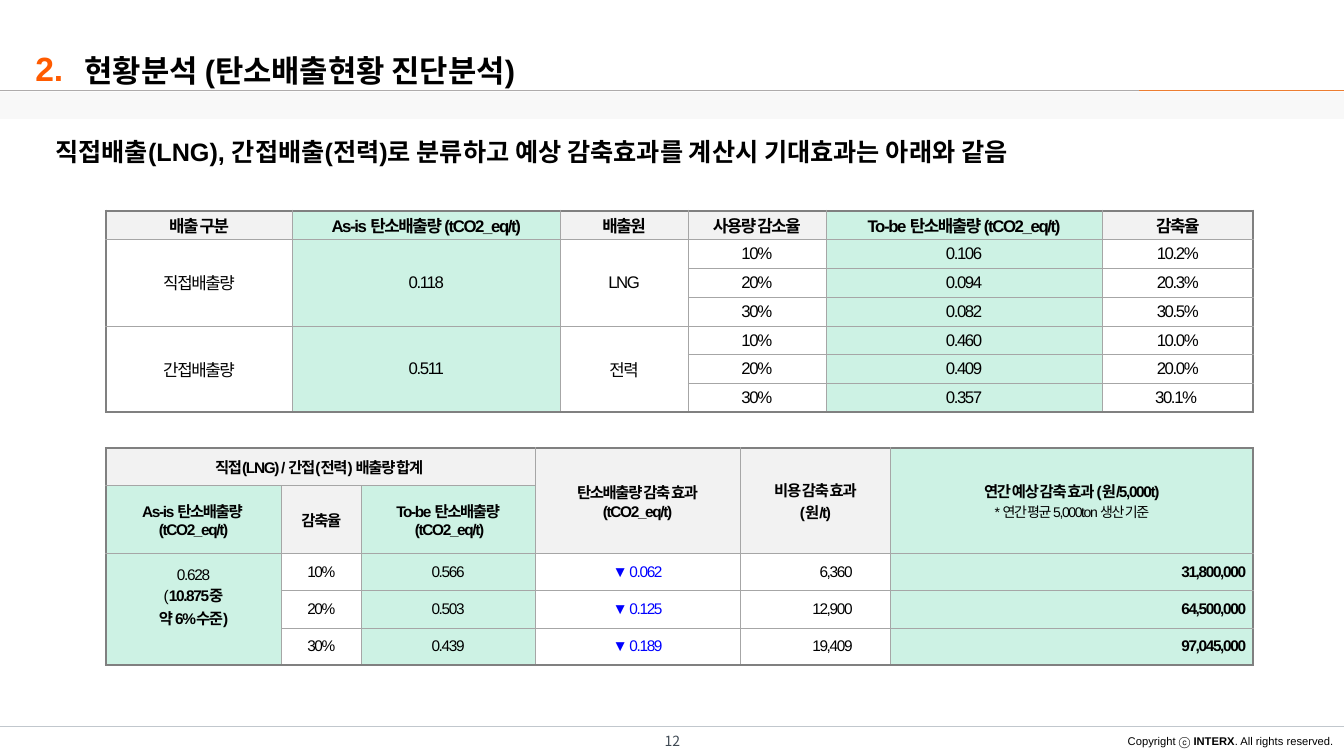
import pptx
import pptx.util
import pptx.oxml
import pptx.oxml.ns
import pptx.dml.color
import pptx.enum.text
import pptx.enum.shapes

Pt = pptx.util.Pt
qn = pptx.oxml.ns.qn
ALIGN = {"l": pptx.enum.text.PP_ALIGN.LEFT, "c": pptx.enum.text.PP_ALIGN.CENTER,
         "r": pptx.enum.text.PP_ALIGN.RIGHT, "j": pptx.enum.text.PP_ALIGN.JUSTIFY}
MIDDLE = pptx.enum.text.MSO_ANCHOR.MIDDLE
TOP = pptx.enum.text.MSO_ANCHOR.TOP
LATIN, KOREAN = "Arial", "Noto Sans CJK KR"
COLORS = {"black": "000000", "orange": "FF5B00", "accent": "ED7D31", "rule": "AEABAB",
          "footer": "C1C7CD", "page": "404A54", "grey": "F2F2F2", "green": "CDF2E4",
          "blue": "0000FF", "inner": "A6A6A6", "outer": "808080"}

LINES = [
    (0, 519.1, 960, "footer"),
    (0, 64.8, 813.6, "rule"),
    (813.6, 64.8, 960, "accent"),
]
TEXTS = [
    {"box": (417.6, 522, 125.3, 14.4), "inset": (7.2, 3.6), "anchor": MIDDLE, "align": "c",
     "runs": [("12", {"size": 10, "color": "page", "name": KOREAN})]},
    {"box": (796.3, 521.3, 163.4, 17.3), "inset": (7.2, 3.6), "align": "r",
     "runs": [("Copyright ⓒ ", {"size": 8}), ("INTERX", {"size": 8, "bold": True}),
              (". All rights reserved.", {"size": 8})]},
    {"box": (13, 17.3, 38.9, 41), "align": "r", "spacing": 1.6,
     "runs": [("2. ", {"size": 24, "bold": True, "color": "orange"})]},
    {"box": (60.5, 20.9, 745.2, 42.5), "spacing": 1.6,
     "runs": [("현황분석 (탄소배출현황 진단분석)", {"size": 22, "bold": True})]},
    {"box": (32.4, 80.6, 936.7, 42.5), "inset": (7.2, 3.6), "align": "j", "spacing": 1.6,
     "hanging": 22.5,
     "runs": [("직접배출(LNG), 간접배출(전력)로 분류하고 예상 감축효과를 계산시 기대효과는 아래와 같음",
               {"size": 18, "bold": True})]},
]
TABLES = [
    {"at": (75.6, 150.5), "cols": (133.2, 191.5, 91.2, 98.4, 197.6, 107.8),
     "rows": (20.57,) * 7, "size": 12, "header_rows": 1, "green_cols": (1, 4),
     "merges": [(r, c, r + 2, c) for r in (1, 4) for c in (0, 1, 2)],
     "cells": [
         ["배출 구분", "As-is 탄소배출량 (tCO2_eq/t)", "배출원", "사용량 감소율",
          "To-be 탄소배출량 (tCO2_eq/t)", "감축율"],
         ["직접배출량", "0.118", "LNG", "10%", "0.106", "10.2%"],
         [None, None, None, "20%", "0.094", "20.3%"],
         [None, None, None, "30%", "0.082", "30.5%"],
         ["간접배출량", "0.511", "전력", "10%", "0.460", "10.0%"],
         [None, None, None, "20%", "0.409", "20.0%"],
         [None, None, None, "30%", "0.357", "30.1% "]]},
    {"at": (75.6, 320.2), "cols": (125.3, 57.4, 123.7, 147, 107.2, 259.1),
     "rows": (26.6, 48.4, 26.6, 26.6, 26.6), "size": 11, "header_rows": 2,
     "green_cols": (0, 2, 5), "grey_cells": [(0, 0)],
     "merges": [(0, 0, 0, 2), (0, 3, 1, 3), (0, 4, 1, 4), (0, 5, 1, 5), (2, 0, 4, 0)],
     "aligns": {4: "r", 5: "r"}, "bold_cols": (5,), "col_colors": {3: "blue"},
     "right_indents": {4: 22}, "bottom_insets": {(2, 0): 18},
     "cells": [
         ["직접(LNG) / 간접(전력) 배출량 합계 ", None, None, "탄소배출량 감축 효과\v(tCO2_eq/t)",
          "비용 감축 효과\n(원/t)",
          [[("연간 예상 감축 효과 (원/5,000t)", {})],
           [("* 연간 평균 5,000ton 생산 기준", {"size": 10, "bold": False})]]],
         ["As-is 탄소배출량 \n(tCO2_eq/t)", "감축율", "To-be 탄소배출량\n (tCO2_eq/t)",
          None, None, None],
         [[[("0.628", {})], [("(", {}), ("10.875중", {"bold": True})],
           [("약 6%수준)", {"bold": True})]],
          "10%", "0.566", "▼ 0.062", "6,360", "31,800,000"],
         [None, "20%", "0.503", "▼ 0.125", "12,900", "64,500,000"],
         [None, "30%", "0.439", "▼ 0.189", "19,409", "97,045,000"]]},
]


def rgb(name):
    return pptx.dml.color.RGBColor.from_string(COLORS[name])


def add_runs(p, runs, base):
    for text, change in runs:
        fmt = {"name": LATIN, "color": "black", "bold": False, **base, **change}
        for i, part in enumerate(text.split("\v")):
            if i:
                p.add_line_break()
            r = p.add_run()
            r.text = part
            r.font.color.rgb = rgb(fmt["color"])
            for key in ("name", "bold"):
                setattr(r.font, key, fmt[key])
            r.font.size = Pt(fmt["size"])
            rpr = r.font._element
            pptx.oxml.ns.qn("a:ea")
            ea = rpr.makeelement(qn("a:ea"), {"typeface": KOREAN})
            rpr.append(ea)
            if "track" in fmt:
                rpr.set("spc", str(fmt["track"] * 100))


def add_text(s, item):
    tf = s.shapes.add_textbox(*map(Pt, item["box"])).text_frame
    dx, dy = item.get("inset", (0, 0))
    for key, value in {"word_wrap": True, "vertical_anchor": item.get("anchor", TOP),
                       "margin_left": Pt(dx), "margin_right": Pt(dx),
                       "margin_top": Pt(dy), "margin_bottom": Pt(dy)}.items():
        setattr(tf, key, value)
    p = tf.paragraphs[0]
    p.alignment = ALIGN[item.get("align", "l")]
    p.line_spacing = item.get("spacing", 1.0)
    if "hanging" in item:
        ppr = p._p.get_or_add_pPr()
        ppr.set("marL", str(Pt(item["hanging"])))
        ppr.set("indent", str(-Pt(item["hanging"])))
    add_runs(p, item["runs"], {})


def add_line(s, x1, y, x2, color):
    line = s.shapes.add_connector(pptx.enum.shapes.MSO_CONNECTOR.STRAIGHT,
                                  Pt(x1), Pt(y), Pt(x2), Pt(y))
    line.line.color.rgb = rgb(color)
    line.line.width = Pt(0.75)
    sppr = line._element.spPr
    sppr.append(sppr.makeelement(qn("a:effectLst"), {}))


def set_borders(cell, outer_sides):
    tcpr = cell._tc.get_or_add_tcPr()
    for i, (side, outer) in enumerate(zip("LRTB", outer_sides)):
        name, width = ("outer", 1.7) if outer else ("inner", 0.28)
        ln = tcpr.makeelement(qn("a:ln" + side), {"w": str(Pt(width))})
        fill = ln.makeelement(qn("a:solidFill"), {})
        fill.append(fill.makeelement(qn("a:srgbClr"), {"val": COLORS[name]}))
        ln.append(fill)
        tcpr.insert(i, ln)


def add_table(s, t):
    nrows, ncols = len(t["rows"]), len(t["cols"])
    size = sum(t["cols"]), sum(t["rows"])
    table = s.shapes.add_table(nrows, ncols, *map(Pt, t["at"] + size)).table
    table.first_row = table.horz_banding = False
    for col, width in zip(table.columns, t["cols"]):
        col.width = Pt(width)
    for row, height in zip(table.rows, t["rows"]):
        row.height = Pt(height)
    ends = {}
    for r1, c1, r2, c2 in t["merges"]:
        table.cell(r1, c1).merge(table.cell(r2, c2))
        ends[r1, c1] = r2, c2
    for r, row in enumerate(t["cells"]):
        for c, content in enumerate(row):
            cell = table.cell(r, c)
            header = r < t["header_rows"]
            for key, value in {"vertical_anchor": MIDDLE, "margin_left": Pt(5.1),
                               "margin_right": Pt(5.1), "margin_top": Pt(1.4),
                               "margin_bottom": Pt(t.get("bottom_insets", {}).get((r, c), 1.4))}.items():
                setattr(cell, key, value)
            if c in t["green_cols"] and (r, c) not in t.get("grey_cells", []):
                cell.fill.solid()
                cell.fill.fore_color.rgb = rgb("green")
            elif header:
                cell.fill.solid()
                cell.fill.fore_color.rgb = rgb("grey")
            else:
                cell.fill.background()
            r_end, c_end = ends.get((r, c), (r, c))
            set_borders(cell, (c == 0, c_end == ncols - 1, r == 0, r_end == nrows - 1))
            base = {"size": t["size"], "track": -1,
                    "bold": header or c in t.get("bold_cols", ())}
            if not header:
                base["color"] = t.get("col_colors", {}).get(c, "black")
            if content is None:
                continue
            if isinstance(content, str):
                content = [[(line, {})] for line in content.split("\n")]
            tf = cell.text_frame
            for i, runs in enumerate(content):
                p = tf.add_paragraph() if i else tf.paragraphs[0]
                p.alignment = ALIGN["c" if header else t.get("aligns", {}).get(c, "c")]
                if not header and c in t.get("right_indents", {}):
                    p._p.get_or_add_pPr().set("marR", str(Pt(t["right_indents"][c])))
                add_runs(p, runs, base)


def main():
    prs = pptx.Presentation()
    prs.slide_width, prs.slide_height = Pt(960), Pt(540)
    s = prs.slides.add_slide(prs.slide_layouts[6])
    band = s.shapes.add_shape(pptx.enum.shapes.MSO_SHAPE.RECTANGLE,
                              Pt(0), Pt(65.5), Pt(960), Pt(19.4))
    band.shadow.inherit = False
    band.fill.solid()
    band.fill.fore_color.rgb = rgb("grey")
    clr = band._element.spPr.find(".//" + qn("a:srgbClr"))
    clr.append(clr.makeelement(qn("a:alpha"), {"val": "50000"}))
    band.line.fill.background()
    for line in LINES:
        add_line(s, *line)
    for item in TEXTS:
        add_text(s, item)
    for t in TABLES:
        add_table(s, t)
    prs.save("out.pptx")


if __name__ == "__main__":
    main()
